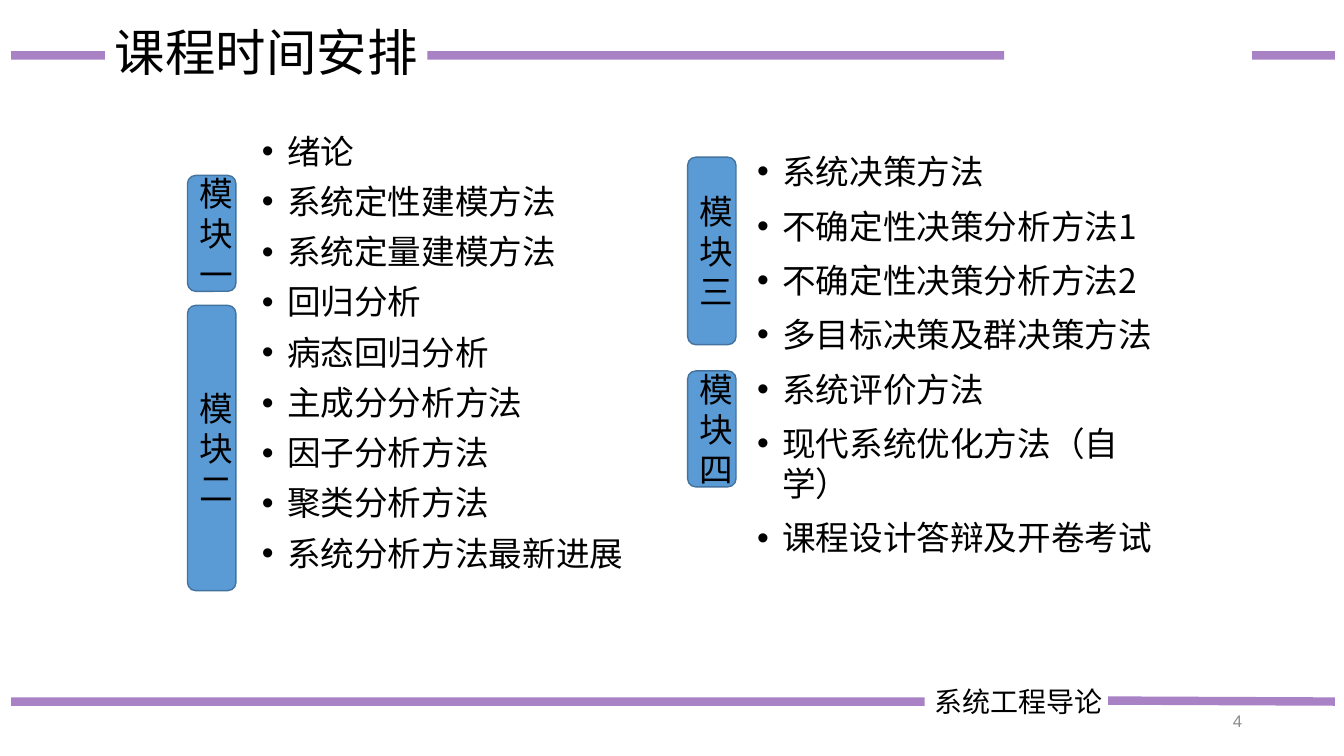
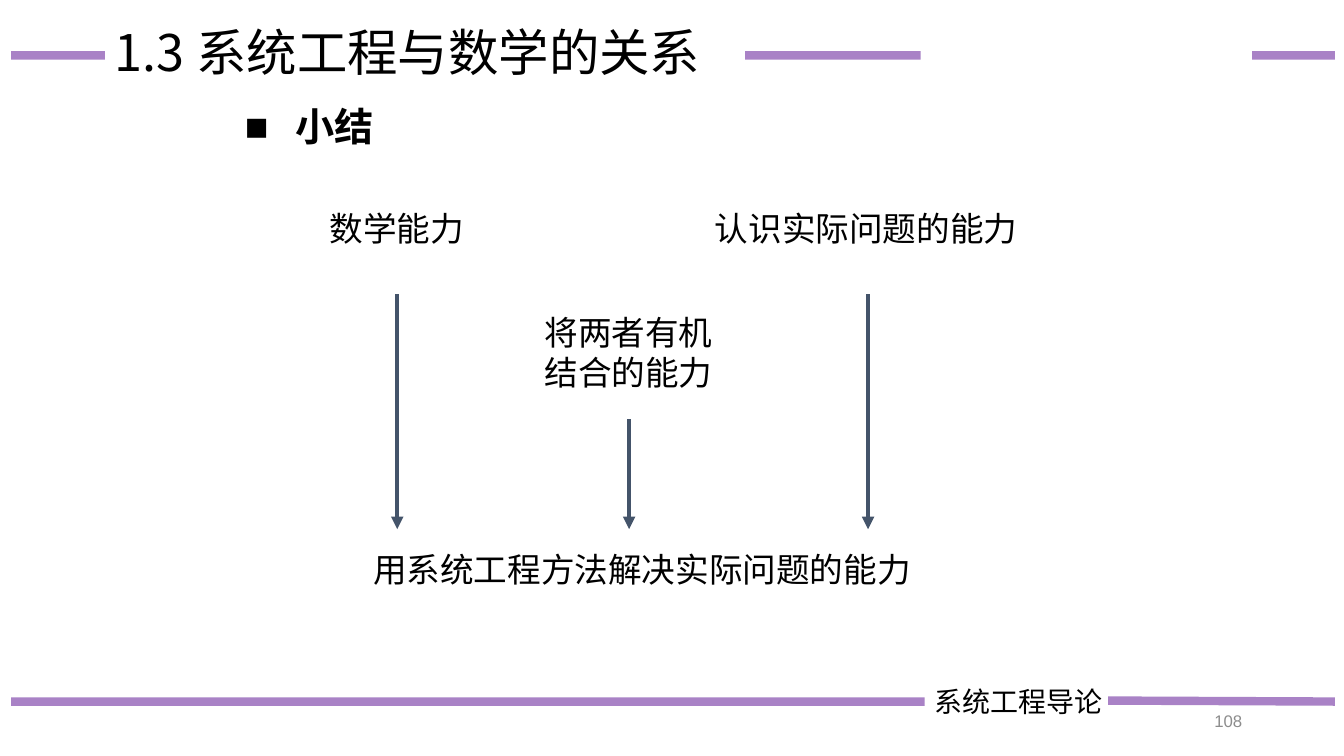
"""Build two lecture slides: the course schedule and a summary of abilities."""
import dataclasses

import lxml.etree
import pptx
import pptx.dml.color
import pptx.enum.shapes
import pptx.enum.text
import pptx.oxml.ns
import pptx.util

Inches = pptx.util.Inches
Pt = pptx.util.Pt
ALIGN = pptx.enum.text.PP_ALIGN
ANCHOR = pptx.enum.text.MSO_ANCHOR
FIT = pptx.enum.text.MSO_AUTO_SIZE


@dataclasses.dataclass(frozen=True)
class Theme:
    ink: str = "000000"
    rule: str = "7030A0"
    box: str = "5B9BD5"
    edge: str = "43739E"
    arrow: str = "44546A"
    mute: str = "8C8C8C"
    sans: str = "Noto Sans CJK SC"
    latin: str = "Arial"
    title: int = 36
    head: int = 28
    body: int = 24
    foot: int = 20
    page: int = 12


THEME = Theme()


def color(code):
    return pptx.dml.color.RGBColor.from_string(code)


def node(root, tag, **attrs):
    return lxml.etree.SubElement(root, pptx.oxml.ns.qn(tag), **attrs)


def write(frame, text, size=THEME.body, ink=THEME.ink, font=THEME.sans, bold=False,
          align=ALIGN.LEFT, bullet=None, indent=0.25, space=0, lead=None):
    for index, words in enumerate(text.split("\n")):
        para = frame.add_paragraph() if index else frame.paragraphs[0]
        para.alignment = align
        para.space_before = Pt(space if index else 0)
        if lead:
            para.line_spacing = lead
        if bullet:
            props = para._p.get_or_add_pPr()
            props.set("marL", str(Inches(indent)))
            props.set("indent", str(-Inches(indent)))
            node(props, "a:buFont", typeface=THEME.latin)
            node(props, "a:buChar", char=bullet)
        run = para.add_run()
        run.text = words
        run.font.size = Pt(size)
        run.font.bold = bold
        run.font.name = font
        run.font.color.rgb = color(ink)
        node(run._r.get_or_add_rPr(), "a:ea", typeface=THEME.sans)


class Deck:
    """Hold the style and the slide being drawn."""

    def __init__(self, theme):
        self.theme = theme
        self.show = pptx.Presentation()
        self.show.slide_width = Inches(13.33)
        self.show.slide_height = Inches(7.5)

    def start(self, title, page, left, right):
        self.slide = self.show.slides.add_slide(self.show.slide_layouts[5])
        self.rule(0.11, 9.17, 6.96)
        self.text("系统工程导论", 9.17, 6.74, 2.51, 0.44, size=self.theme.foot)
        self.rule(10.99, 13.24, 6.95, 6.96)
        for start, end in ((0.11, 1.04), (left, right), (12.42, 13.24)):
            self.rule(start, end, 0.55)
        self.title(title)
        self.text(str(page), 9.42, 6.95, 3, 0.4, anchor=ANCHOR.MIDDLE, align=ALIGN.RIGHT,
                  size=self.theme.page, font=self.theme.latin, ink=self.theme.mute)

    def title(self, text):
        shape = self.slide.shapes.title
        shape.left, shape.top = Inches(1.04), Inches(-0.18)
        shape.width, shape.height = Inches(11.5), Inches(1.45)
        shape.text_frame.vertical_anchor = ANCHOR.MIDDLE
        shape.text_frame.word_wrap = True
        write(shape.text_frame, text, size=self.theme.title, lead=0.9)

    def text(self, text, left, top, width, height, wrap=True, inset=None,
             anchor=ANCHOR.TOP, **style):
        shape = self.slide.shapes.add_textbox(
            Inches(left), Inches(top), Inches(width), Inches(height))
        frame = shape.text_frame
        frame.word_wrap = wrap
        frame.auto_size = FIT.NONE if wrap else FIT.SHAPE_TO_FIT_TEXT
        frame.vertical_anchor = anchor
        if inset is not None:
            frame.margin_left = frame.margin_right = Inches(inset)
            frame.margin_top = frame.margin_bottom = Inches(inset)
        write(frame, text, **style)

    def label(self, text, left, top, width, height=0.4):
        self.text(text, left, top, width, height, wrap=False, inset=0)

    def line(self, left, top, right, low, ink, width):
        line = self.slide.shapes.add_connector(
            pptx.enum.shapes.MSO_CONNECTOR.STRAIGHT,
            Inches(left), Inches(top), Inches(right), Inches(low))
        line.line.color.rgb = color(ink)
        line.line.width = Pt(width)
        node(line._element.spPr, "a:effectLst")
        return line.line._get_or_add_ln()

    def rule(self, left, right, top, low=None):
        stroke = self.line(left, top, right, low or top, self.theme.rule, 6)
        node(stroke.find(".//" + pptx.oxml.ns.qn("a:srgbClr")), "a:alpha", val="60000")

    def arrow(self, left, top, low):
        stroke = self.line(left, top, left, low, self.theme.arrow, 3)
        node(stroke, "a:tailEnd", type="triangle")

    def block(self, text, left, top, height):
        shape = self.slide.shapes.add_shape(
            pptx.enum.shapes.MSO_SHAPE.ROUNDED_RECTANGLE,
            Inches(left), Inches(top), Inches(0.48), Inches(height))
        shape.shadow.inherit = False
        shape.fill.solid()
        shape.fill.fore_color.rgb = color(self.theme.box)
        shape.line.color.rgb = color(self.theme.edge)
        shape.line.width = Pt(1)
        shape.text_frame.word_wrap = True
        shape.text_frame.vertical_anchor = ANCHOR.MIDDLE
        write(shape.text_frame, text, font=self.theme.latin)


def plan(deck):
    deck.start("课程时间安排", 4, 4.24, 9.96)
    first = ("绪论", "系统定性建模方法", "系统定量建模方法", "回归分析", "病态回归分析",
             "主成分分析方法", "因子分析方法", "聚类分析方法", "系统分析方法最新进展")
    second = ("系统决策方法", "不确定性决策分析方法1", "不确定性决策分析方法2",
              "多目标决策及群决策方法", "系统评价方法", "现代系统优化方法（自学）",
              "课程设计答辩及开卷考试")
    deck.text("\n".join(first), 2.5, 1.29, 11.5, 4.76, bullet="•", space=10, lead=0.9)
    deck.text("\n".join(second), 7.41, 1.45, 4.25, 5.74, bullet="•", space=10)
    for name, left, top, height in (("一", 1.86, 1.74, 1.15), ("二", 1.86, 3.03, 2.83),
                                    ("三", 6.82, 1.56, 1.86), ("四", 6.82, 3.68, 1.15)):
        deck.block("模块" + name, left, top, height)


def recap(deck):
    deck.start("1.3 系统工程与数学的关系", 108, 7.39, 9.13)
    deck.text("小结", 2.33, 1.02, 1.5, 0.53, wrap=False, size=deck.theme.head,
              bold=True, bullet="■", indent=0.5, lead=0.9)
    deck.label("数学能力", 3.27, 2.06, 1.35)
    deck.label("认识实际问题的能力", 7.09, 2.06, 3.03)
    deck.label("将两者有机\n结合的能力", 5.4, 3.09, 1.68, 0.81)
    deck.label("用系统工程方法解决实际问题的能力", 3.7, 5.45, 5.39)
    for left, top in ((3.94, 2.92), (6.24, 4.16), (8.61, 2.92)):
        deck.arrow(left, top, 5.25)


def main():
    deck = Deck(THEME)
    plan(deck)
    recap(deck)
    deck.show.save("out.pptx")


if __name__ == "__main__":
    main()
